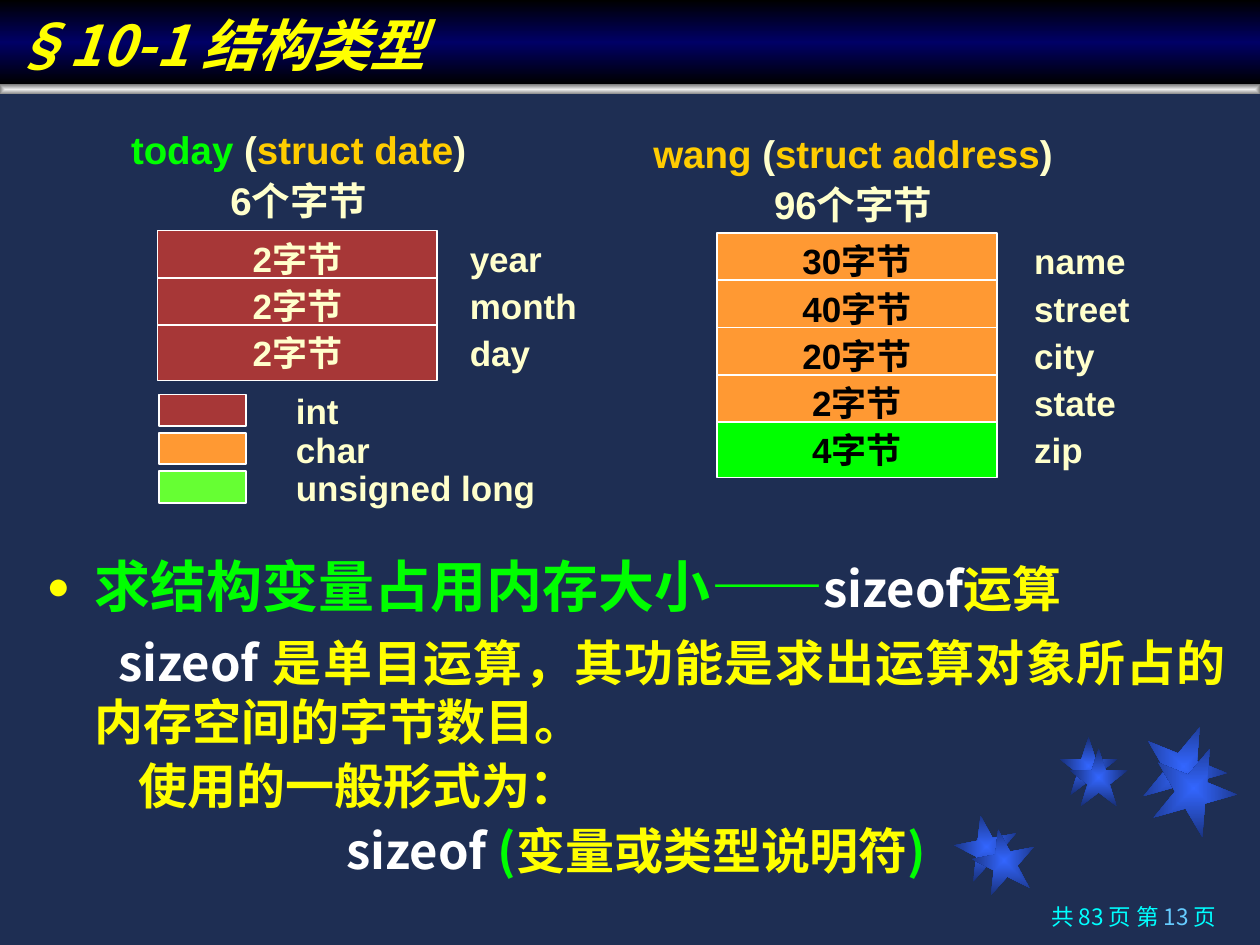
from lxml import etree
from pptx import Presentation
from pptx.dml.color import RGBColor
from pptx.enum.shapes import MSO_SHAPE
from pptx.enum.text import MSO_ANCHOR, MSO_AUTO_SIZE, PP_ALIGN
from pptx.oxml.ns import qn
from pptx.util import Inches, Pt

RECTANGLE = MSO_SHAPE.RECTANGLE
TOP, MIDDLE, BOTTOM = MSO_ANCHOR.TOP, MSO_ANCHOR.MIDDLE, MSO_ANCHOR.BOTTOM
LEFT, CENTER, RIGHT, JUSTIFY = PP_ALIGN.LEFT, PP_ALIGN.CENTER, PP_ALIGN.RIGHT, PP_ALIGN.JUSTIFY
NO_AUTOFIT = MSO_AUTO_SIZE.NONE
LATIN, CHINESE = "Arial", "Noto Sans CJK SC"
NAVY, WHITE, BLACK, YELLOW, GREEN = "1E2E53", "FFFFFF", "000000", "FFFF00", "00FF00"
CREAM, GOLD, RED, ORANGE, LIME = "FFFFCC", "FFCC00", "A73737", "FF9933", "66FF33"
CYAN, SKY = "00FFFF", "66CCFF"
ROW_PITCH, ROW_HEIGHT, LEGEND_PITCH = 0.375, 0.44, 0.305
STAR_POINTS = [(0, 0.38), (0.38, 0.38), (0.5, 0), (0.62, 0.38), (1, 0.38),
               (0.69, 0.62), (0.81, 1), (0.5, 0.76), (0.19, 1), (0.31, 0.62)]
STARS = [(7.58, 6.47, 0.5, 349), (8.41, 5.85, 0.46, 0), (9.06, 5.75, 0.67, 22),
         (7.72, 6.58, 0.5, 349), (8.49, 5.94, 0.46, 0), (9.14, 5.92, 0.67, 22)]


def color(value):
    """Turn a hex string into a colour."""
    return RGBColor.from_string(value)


def box(left, top, width, height):
    """Return a position and size in inches."""
    return Inches(left), Inches(top), Inches(width), Inches(height)


def set_gradient(shape, stops, angle=None):
    """Fill a shape with a linear gradient, or from its centre without an angle."""
    shape.fill.gradient()
    gradient = shape._element.spPr.find(qn("a:gradFill"))
    for child in list(gradient):
        gradient.remove(child)
    stop_list = etree.SubElement(gradient, qn("a:gsLst"))
    for position, value in stops:
        stop = etree.SubElement(stop_list, qn("a:gs"), pos=str(position * 1000))
        etree.SubElement(stop, qn("a:srgbClr"), val=value)
    if angle is None:
        path = etree.SubElement(gradient, qn("a:path"), path="rect")
        etree.SubElement(path, qn("a:fillToRect"), l="50000", t="50000", r="50000", b="50000")
    else:
        etree.SubElement(gradient, qn("a:lin"), ang=str(angle * 60000), scaled="1")


def set_font(font, size, name, value=None, bold=True):
    """Set size, Latin and Chinese typeface, colour and weight."""
    font.size, font.name, font.bold = Pt(size), name, bold
    if value:
        font.color.rgb = color(value)
    latin = font._element.find(qn("a:latin"))
    latin.addnext(etree.Element(qn("a:ea"), typeface=CHINESE))


def format_frame(frame, anchor, wrap=True):
    """Set anchor and wrapping, and keep the frame size fixed."""
    frame.auto_size, frame.word_wrap, frame.vertical_anchor = NO_AUTOFIT, wrap, anchor


def write_runs(paragraph, runs):
    """Add runs given as pairs of text and colour."""
    for text, value in runs:
        run = paragraph.add_run()
        run.text = text
        run.font.color.rgb = color(value)


def set_spacing(paragraph, alignment, before=0, line=0.9):
    """Set alignment, space before and line spacing."""
    paragraph.alignment, paragraph.space_before = alignment, Pt(before)
    paragraph.line_spacing = line


def add_rectangle(slide, position, fill, text=None, text_color=WHITE):
    """Add a white-edged rectangle with an optional label."""
    shape = slide.shapes.add_shape(RECTANGLE, *box(*position))
    shape.shadow.inherit = False
    shape.fill.solid()
    shape.fill.fore_color.rgb = color(fill)
    shape.line.color.rgb = color(WHITE)
    shape.line.width = Pt(1)
    if text:
        format_frame(shape.text_frame, MIDDLE)
        paragraph = shape.text_frame.paragraphs[0]
        paragraph.text, paragraph.alignment = text, CENTER
        set_font(paragraph.font, 20, LATIN, text_color)
        paragraph.runs[0].font.color.rgb = color(text_color)


def add_label(slide, position, text, wrap=True):
    """Add a left-aligned cream label."""
    frame = slide.shapes.add_textbox(*box(*position)).text_frame
    format_frame(frame, MIDDLE, wrap)
    paragraph = frame.paragraphs[0]
    paragraph.text, paragraph.alignment = text, LEFT
    set_font(paragraph.font, 20, LATIN, CREAM)


def add_heading(slide, position, lines):
    """Add a centred heading of several lines above a memory layout."""
    frame = slide.shapes.add_textbox(*box(*position)).text_frame
    format_frame(frame, MIDDLE)
    for index, runs in enumerate(lines):
        paragraph = frame.add_paragraph() if index else frame.paragraphs[0]
        set_spacing(paragraph, CENTER, 5.5 if index else 0)
        set_font(paragraph.font, 22, LATIN)
        write_runs(paragraph, runs)


def add_memory(slide, left, top, label_left, label_width, text_color, members):
    """Stack the members of a structure, each with its name beside it."""
    for index, (text, name, fill) in enumerate(members):
        row_top = top + index * ROW_PITCH
        add_rectangle(slide, (left, row_top, 2.22, ROW_HEIGHT), fill, text, text_color)
        add_label(slide, (label_left, row_top, label_width, ROW_HEIGHT), name)


def add_legend(slide, entries):
    """Add colour swatches with the names of their types."""
    for index, (name, fill, width) in enumerate(entries):
        offset = index * LEGEND_PITCH
        add_rectangle(slide, (1.26, 3.13 + offset, 0.69, 0.25), fill)
        add_label(slide, (2.25, 3.04 + offset, width, ROW_HEIGHT), name, False)


def add_star(slide, left, top, size, rotation):
    """Add a five-pointed star with a blue gradient."""
    points = [(Inches(left + x * size), Inches(top + y * size)) for x, y in STAR_POINTS]
    builder = slide.shapes.build_freeform(*points[0])
    builder.add_line_segments(points[1:], close=True)
    star = builder.convert_to_shape()
    star.shadow.inherit = False
    star.line.fill.background()
    star.rotation = rotation
    set_gradient(star, [(0, "3366FF"), (100, "182F76")])


def add_rule(slide):
    """Add the metallic rule under the title."""
    rule = slide.shapes.add_shape(RECTANGLE, *box(0, 0.67, 10, 0.08))
    rule.shadow.inherit = False
    rule.line.fill.background()
    set_gradient(rule, [(0, "EDEDED"), (100, "808080")])


def place(shape, position):
    """Move and size a placeholder."""
    shape.left, shape.top, shape.width, shape.height = box(*position)


def fill_title(title):
    """Write the title on its gradient band."""
    place(title, (0, 0, 10, 0.67))
    set_gradient(title, [(0, BLACK), (50, "000066"), (100, BLACK)], 90)
    format_frame(title.text_frame, BOTTOM)
    paragraph = title.text_frame.paragraphs[0]
    paragraph.text, paragraph.alignment = "§10-1 结构类型", LEFT
    set_font(paragraph.font, 32, CHINESE, YELLOW)
    paragraph.font.italic = True


def set_indent(paragraph, margin, indent, bullet=False):
    """Set left margin and first-line indent in inches, and the bullet."""
    properties = paragraph._p.get_or_add_pPr()
    properties.set("marL", str(Inches(margin)))
    properties.set("indent", str(Inches(indent)))
    if bullet:
        bullet_color = etree.SubElement(properties, qn("a:buClr"))
        etree.SubElement(bullet_color, qn("a:srgbClr"), val=YELLOW)
        etree.SubElement(properties, qn("a:buSzPct"), val="70000")
        etree.SubElement(properties, qn("a:buChar"), char="●")
    else:
        etree.SubElement(properties, qn("a:buNone"))


def fill_body(body):
    """Write the explanation of sizeof."""
    place(body, (0.27, 4.39, 9.56, 2.7))
    format_frame(body.text_frame, TOP)
    lines = [
        (JUSTIFY, 0.38, -0.38, 0.9, [("求结构变量占用内存大小", GREEN), ("——", GREEN),
                                     ("sizeof", WHITE), ("运算", YELLOW)]),
        (JUSTIFY, 0.38, 0.19, 1, [("sizeof ", WHITE),
                                  ("是单目运算，其功能是求出运算对象所占的内存空间的字节数目。", YELLOW)]),
        (JUSTIFY, 0.73, 0, 0.9, [("使用的一般形式为：", YELLOW)]),
        (CENTER, 0, 0, 0.9, [("sizeof ", WHITE), ("(", GREEN),
                             ("变量或类型说明符", YELLOW), (")", GREEN)])]
    for index, (alignment, margin, indent, line, runs) in enumerate(lines):
        paragraph = body.text_frame.add_paragraph() if index else body.text_frame.paragraphs[0]
        set_spacing(paragraph, alignment, 7 if index else 0, line)
        set_indent(paragraph, margin, indent, index == 0)
        set_font(paragraph.font, 28, CHINESE)
        write_runs(paragraph, runs)
    topic, dash = body.text_frame.paragraphs[0].runs[:2]
    topic.font.size = dash.font.size = Pt(32)
    dash.font.name = LATIN


def add_page_number(slide):
    """Add the page count at the lower right."""
    frame = slide.shapes.add_textbox(*box(7.12, 7.14, 2.63, 0.36)).text_frame
    format_frame(frame, TOP)
    paragraph = frame.paragraphs[0]
    set_spacing(paragraph, RIGHT)
    set_font(paragraph.font, 12.9, CHINESE, bold=False)
    write_runs(paragraph, [("共 83 页 第 ", CYAN), ("13 ", SKY), ("页", CYAN)])


def main():
    """Build the slide and save it."""
    presentation = Presentation()
    presentation.slide_width, presentation.slide_height = Inches(10), Inches(7.5)
    slide = presentation.slides.add_slide(presentation.slide_layouts[1])
    slide.background.fill.solid()
    slide.background.fill.fore_color.rgb = color(NAVY)
    for star in STARS:
        add_star(slide, *star)
    add_rule(slide)
    add_heading(slide, (0.92, 0.99, 2.9, 0.84), [
        [("today", GREEN), (" (", CREAM), ("struct date", GOLD), (") ", CREAM)],
        [("6个字节", CREAM)]])
    add_memory(slide, 1.25, 1.83, 3.63, 1.19, CREAM,
               [("2字节", name, RED) for name in ("year", "month", "day")])
    add_heading(slide, (5.08, 1.02, 3.38, 0.84), [
        [("wang ", GOLD), ("(", CREAM), ("struct address", GOLD), (")", CREAM)],
        [("96个字节", CREAM)]])
    add_memory(slide, 5.69, 1.85, 8.11, 1.33, BLACK, [
        ("30字节", "name", ORANGE), ("40字节", "street", ORANGE), ("20字节", "city", ORANGE),
        ("2字节", "state", ORANGE), ("4字节", "zip", GREEN)])
    add_legend(slide, [("int", RED, 0.54), ("char", ORANGE, 0.79), ("unsigned long", LIME, 2.1)])
    fill_title(slide.shapes.title)
    fill_body(slide.placeholders[1])
    add_page_number(slide)
    presentation.save("out.pptx")


if __name__ == "__main__":
    main()
